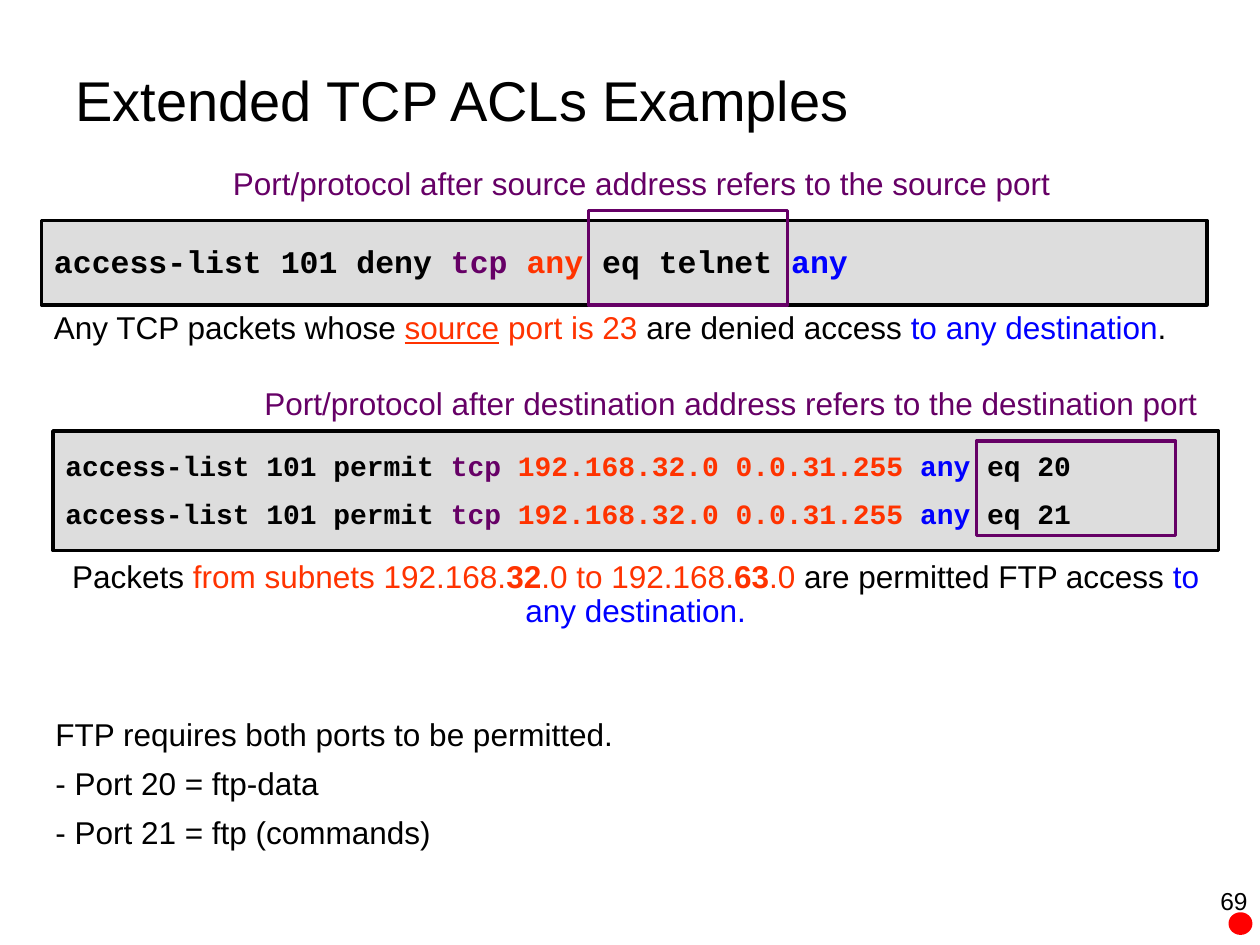
from pptx import Presentation
from pptx.dml.color import RGBColor
from pptx.enum.shapes import MSO_SHAPE
from pptx.enum.text import MSO_ANCHOR, MSO_AUTO_SIZE, PP_ALIGN
from pptx.util import Inches, Pt

THEME = {
    "black": "000000", "purple": "660066", "orange": "FF3300", "blue": "0000FF",
    "panel": "DDDDDD", "red": "FF0000",
    "sans": "Arial", "mono": "Courier New",
    "title": 32, "body": 18, "code": 16, "number": 14,
    "border": 2, "leading": 0.95, "gap": 9,
}

# A run is (text, colour, style); the style may be "bold" or "underline".
TITLE = "Extended TCP ACLs Examples"
CAPTIONS = [
    ((1.75, 1.25, 7.75, 0.4), "Port/protocol after source address refers to the source port"),
    ((2, 3, 7.67, 0.4), "Port/protocol after destination address refers to the destination port"),
]
SOURCE_RULE = [[
    ("access-list 101 deny ", "black"), ("tcp ", "purple"), ("any ", "orange"),
    ("eq telnet ", "black"), ("any", "blue"),
]]
DESTINATION_RULES = [[
    ("access-list 101 permit ", "black"), ("tcp ", "purple"),
    ("192.168.32.0 0.0.31.255 ", "orange"), ("any", "blue"), (f" eq {port}", "black"),
] for port in (20, 21)]
CODE_PANELS = [
    ((0.33, 1.75, 9.25, 0.67), SOURCE_RULE, "body"),
    ((0.42, 3.42, 9.25, 0.95), DESTINATION_RULES, "code"),
]
PORT_FRAMES = [(4.67, 1.67, 1.58, 0.75), (7.75, 3.5, 1.58, 0.75)]
SOURCE_NOTE = [[
    ("Any TCP packets whose ", "black"), ("source", "orange", "underline"),
    (" port is 23 ", "orange"), ("are denied access ", "black"),
    ("to any destination", "blue"), (".", "black"),
]]
DESTINATION_NOTE = [[
    ("Packets ", "black"), ("from subnets 192.168.", "orange"), ("32", "orange", "bold"),
    (".0 to 192.168.", "orange"), ("63", "orange", "bold"), (".0 ", "orange"),
    ("are permitted FTP access ", "black"), ("to any destination.", "blue"),
]]
FTP_NOTE = [[(line, "black")] for line in (
    "FTP requires both ports to be permitted.",
    "- Port 20 = ftp-data",
    "- Port 21 = ftp (commands)",
)]


def color(name):
    return RGBColor.from_string(THEME[name])


def inches(box):
    return [Inches(v) for v in box]


def write(tf, lines, size="body", font="sans", bold=False, align=PP_ALIGN.LEFT, leading=None):
    tf.word_wrap = True
    for i, runs in enumerate(lines):
        p = tf.add_paragraph() if i else tf.paragraphs[0]
        p.alignment = align
        p.line_spacing = leading
        if i:
            p.space_before = Pt(THEME["gap"])
        p.font.name = THEME[font]
        p.font.size = Pt(THEME[size])
        p.font.bold = bold
        for text, tint, *style in runs:
            r = p.add_run()
            r.text = text
            r.font.color.rgb = color(tint)
            if "bold" in style:
                r.font.bold = True
            if "underline" in style:
                r.font.underline = True


def add_text(s, box, lines, **style):
    write(s.shapes.add_textbox(*inches(box)).text_frame, lines, **style)


def add_panel(s, box, fill=None, line=None, kind=MSO_SHAPE.RECTANGLE):
    sp = s.shapes.add_shape(kind, *inches(box))
    sp.shadow.inherit = False
    if fill:
        sp.fill.solid()
        sp.fill.fore_color.rgb = color(fill)
    else:
        sp.fill.background()
    if line:
        sp.line.color.rgb = color(line)
        sp.line.width = Pt(THEME["border"])
    else:
        sp.line.fill.background()
    return sp


def add_note_table(s, box, lines, align=PP_ALIGN.LEFT):
    table = s.shapes.add_table(1, 1, *inches(box)).table
    table.first_row = table.horz_banding = False
    cell = table.cell(0, 0)
    cell.fill.background()
    write(cell.text_frame, lines, align=align, leading=THEME["leading"])


def main():
    prs = Presentation()
    prs.slide_width, prs.slide_height = Inches(10), Inches(7.5)
    s = prs.slides.add_slide(prs.slide_layouts[5])

    title = s.shapes.title
    title.left, title.top, title.width, title.height = inches((0.5, 0.5, 9, 0.58))
    tf = title.text_frame
    tf.auto_size = MSO_AUTO_SIZE.NONE
    tf.vertical_anchor = MSO_ANCHOR.MIDDLE
    write(tf, [[(TITLE, "black")]], size="title")

    add_note_table(s, (0.34, 5.66, 9.66, 1.64), FTP_NOTE)
    for box, lines, size in CODE_PANELS:
        tf = add_panel(s, box, "panel", "black").text_frame
        tf.vertical_anchor = MSO_ANCHOR.MIDDLE
        write(tf, lines, size, "mono", bold=True, leading=THEME["leading"])
    add_text(s, (0.33, 2.42, 9.25, 0.77), SOURCE_NOTE, leading=THEME["leading"])
    add_note_table(s, (0.42, 4.41, 9.25, 0.76), DESTINATION_NOTE, PP_ALIGN.CENTER)
    for box in PORT_FRAMES:
        add_panel(s, box, line="purple")
    for box, text in CAPTIONS:
        add_text(s, box, [[(text, "purple")]])
    add_text(s, (7.67, 6.98, 2.33, 0.52), [[("69", "black")]], size="number", align=PP_ALIGN.RIGHT)
    add_panel(s, (9.75, 7.24, 0.19, 0.18), "red", kind=MSO_SHAPE.OVAL)

    prs.save("out.pptx")


if __name__ == "__main__":
    main()
